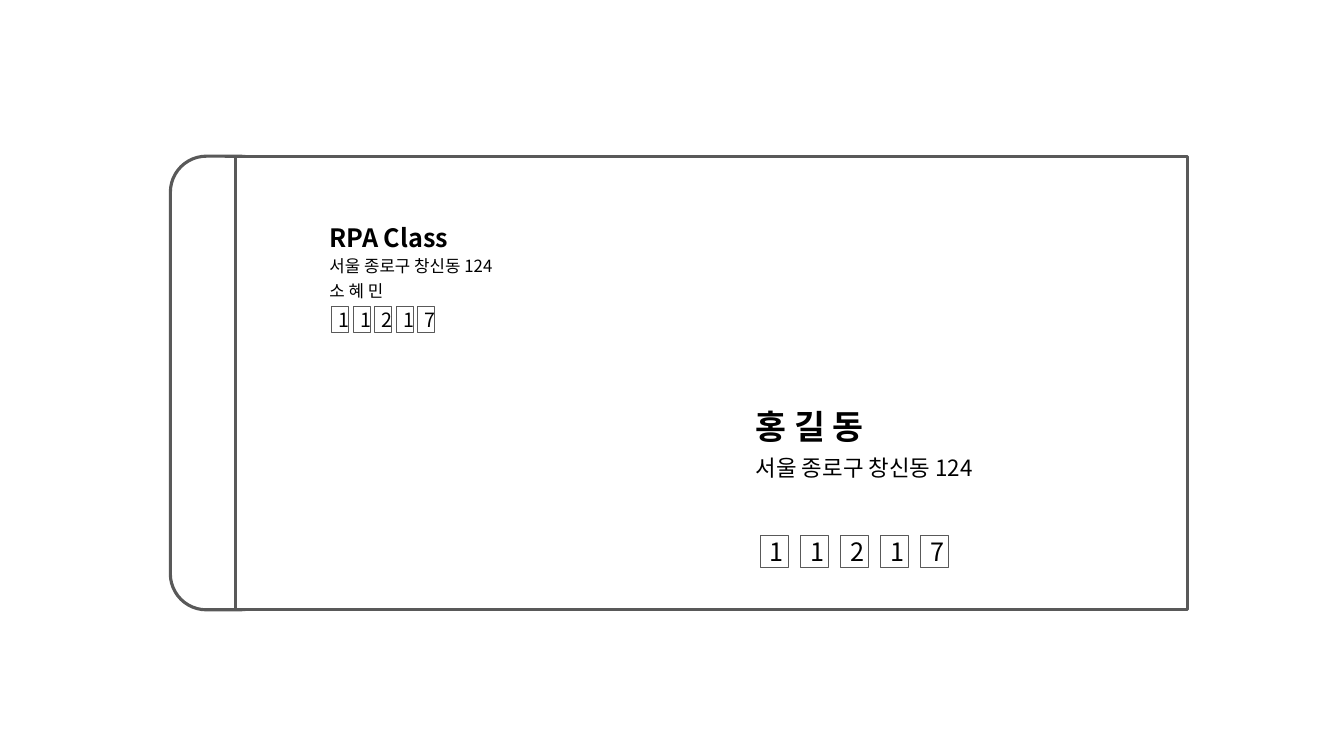
from pptx import Presentation, util as u
from pptx.dml.color import RGBColor
from pptx.enum import shapes, text
from pptx.oxml.ns import qn
from lxml import etree

CELL = u.Inches(0.1)  # the page is a grid of 133.3 columns by 75 rows


def color(value):
    """Turn a hex string into a colour."""
    return RGBColor.from_string(value)


def grid(*cells):
    """Turn counts of grid cells into lengths."""
    return [round(count * CELL) for count in cells]


class Envelope:
    """Hold the style and the current slide."""
    font = "Noto Sans CJK KR"
    ink, edge, paper = "000000", "595959", "FFFFFF"

    def __init__(self, page):
        """Start drawing on a slide."""
        self.page = page

    def style(self, para, size, bold=False):
        """Set one font for Latin and Korean letters."""
        font = para.font
        font.name, font.size, font.bold = self.font, u.Pt(size), bold
        font.color.rgb = color(self.ink)
        latin = font._element.find(qn("a:latin"))
        east_asian = etree.Element(qn("a:ea"), typeface=self.font)
        latin.addnext(east_asian)

    def panel(self, kind, place, weight, fill=None):
        """Add an outlined shape, empty unless a fill is given."""
        box = self.page.shapes.add_shape(kind, *grid(*place))
        box.shadow.inherit = False
        box.line.color.rgb = color(self.edge)
        box.line.width = u.Pt(weight)
        if fill:
            box.fill.solid()
            box.fill.fore_color.rgb = color(fill)
        else:
            box.fill.background()
        return box

    def label(self, words, place, size, bold=False, wrap=True):
        """Add a line of text that starts at the left."""
        frame = self.page.shapes.add_textbox(*grid(*place)).text_frame
        frame.word_wrap = wrap
        frame.auto_size = text.MSO_AUTO_SIZE.SHAPE_TO_FIT_TEXT
        frame.text = words
        self.style(frame.paragraphs[0], size, bold)

    def postcode(self, digits, place, step, size):
        """Add a row of boxes with one digit in each."""
        left, top, width, height = place
        for index, digit in enumerate(digits):
            spot = (left + index * step, top, width, height)
            box = self.panel(shapes.MSO_SHAPE.RECTANGLE, spot, 0.75)
            frame = box.text_frame
            frame.text = digit
            frame.vertical_anchor = text.MSO_ANCHOR.MIDDLE
            para = frame.paragraphs[0]
            para.alignment = text.PP_ALIGN.CENTER
            self.style(para, size)


deck = Presentation()
deck.slide_width, deck.slide_height = grid(133.33, 75)
envelope = Envelope(deck.slides.add_slide(deck.slide_layouts[6]))

address, code = "서울 종로구 창신동 124", "11217"
top, height = 15.5, 45
sender, receiver = 31.7, 74

flap = envelope.panel(shapes.MSO_SHAPE.ROUNDED_RECTANGLE,
                      (16.9, top, 10.5, height), 2.25)
flap.adjustments[0] = 0.34
envelope.panel(shapes.MSO_SHAPE.RECTANGLE, (23.4, top, 94.4, height), 2.25,
               envelope.paper)

envelope.label("RPA Class", (sender, 21.6, 13.8, 4), 18, bold=True, wrap=False)
envelope.label(address, (sender, 24.9, 20.2, 3), 12, wrap=False)
envelope.label("소 혜 민", (sender, 27.4, 11.4, 3), 12)
envelope.postcode(code, (32.9, 30.4, 1.7, 2.6), 2.13, 14)

envelope.label("홍 길 동", (receiver, 39.8, 42.5, 5), 24, bold=True)
envelope.label(address, (receiver, 44.6, 43.8, 3.7), 16)
envelope.postcode(code, (75.4, 53.1, 2.8, 3.2), 3.98, 18)

deck.save("out.pptx")
